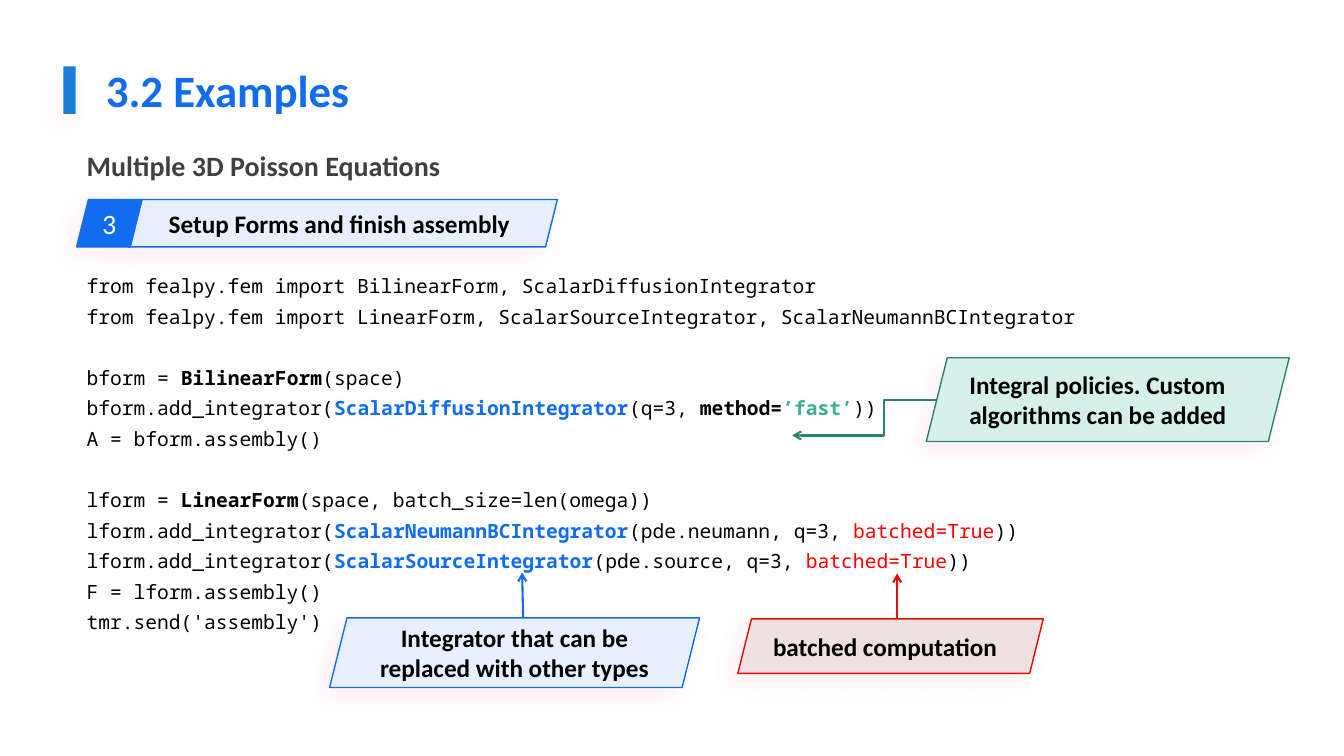
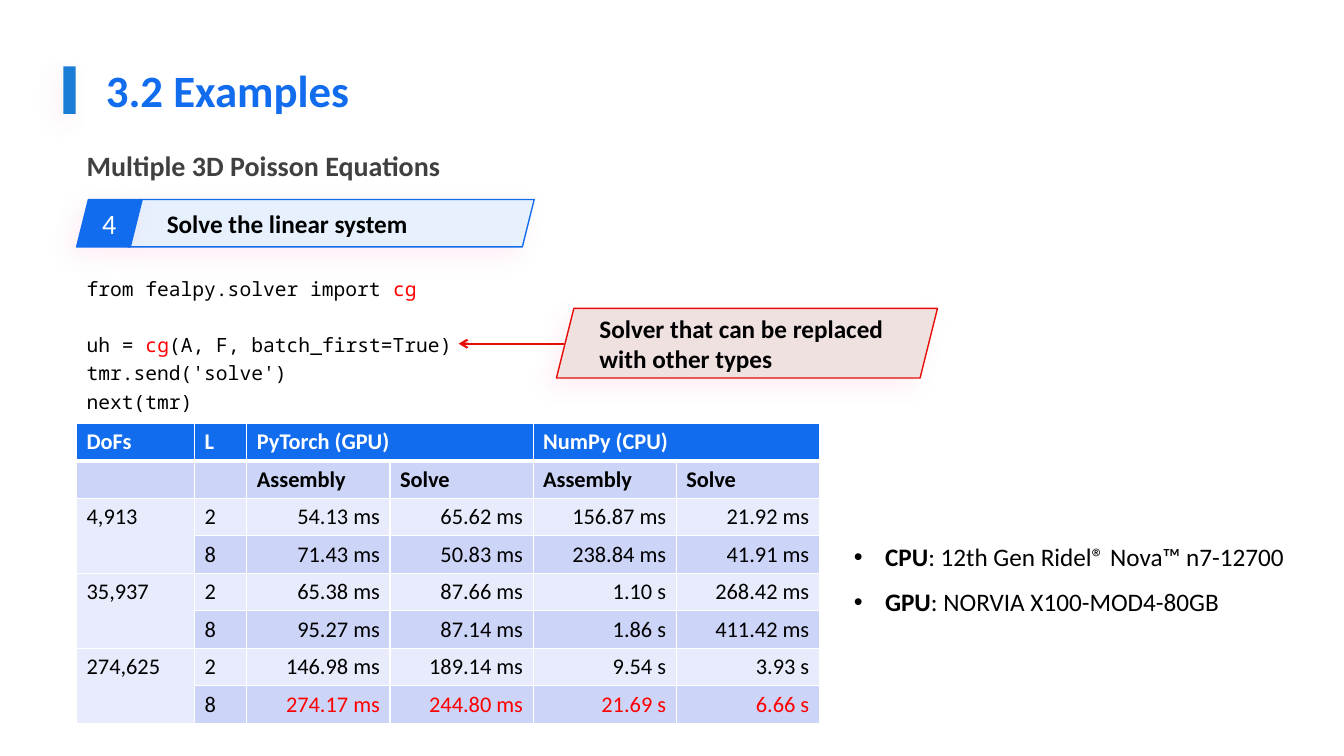
"""Build two example slides on assembling and solving batched Poisson equations."""
from dataclasses import dataclass
from typing import NamedTuple

from lxml import etree
from pptx import Presentation
from pptx.dml.color import RGBColor
from pptx.enum.shapes import MSO_CONNECTOR, MSO_SHAPE
from pptx.enum.text import MSO_ANCHOR, MSO_AUTO_SIZE, PP_ALIGN
from pptx.oxml.ns import qn
from pptx.util import Inches, Pt

RECT, SLANT = MSO_SHAPE.RECTANGLE, MSO_SHAPE.PARALLELOGRAM
STRAIGHT, ELBOW = MSO_CONNECTOR.STRAIGHT, MSO_CONNECTOR.ELBOW
LEFT, CENTER, RIGHT = PP_ALIGN.LEFT, PP_ALIGN.CENTER, PP_ALIGN.RIGHT
TOP, MIDDLE = MSO_ANCHOR.TOP, MSO_ANCHOR.MIDDLE
NO_FIT = MSO_AUTO_SIZE.NONE

COLORS = {
    "blue": "116CEE", "bar": "1B7ED6", "pale_blue": "E7F0FD",
    "green": "2C856A", "pale_green": "D6F1E9", "mint": "3BB28E",
    "crimson": "E40D08", "pale_red": "F0E1E1", "red": "FF0000",
    "black": "000000", "gray": "404040", "white": "FFFFFF", "shadow": "FF5DA9",
    "band_dark": "CCD4F8", "band_light": "E7EBFC",
}
BODY_FONT, CODE_FONT = "Calibri", "Noto Sans Mono"
GRID = 10
MARGIN = 7.6


class Box(NamedTuple):
    """Left, top, width and height in grid columns and rows."""
    left: float
    top: float
    width: float
    height: float


class Run(NamedTuple):
    """A stretch of text with its colour and weight."""
    text: str
    color: str = "black"
    bold: bool = False


class Code(NamedTuple):
    """A block of code; an empty line stands for a gap above the next one."""
    box: Box
    spacing: float
    gap: float
    lines: list


@dataclass
class Callout:
    """A slanted note with an arrow leaving it."""
    box: Box
    text: str
    fill: str
    line: str
    start: tuple
    end: tuple
    align: int = LEFT
    bend: float = 0


def cell(n: float) -> int:
    """Turn a number of grid cells into a length."""
    return Inches(n / GRID)


def area(box: Box) -> list:
    """Give a box as slide lengths."""
    return [cell(n) for n in box]


def rgb(name: str) -> RGBColor:
    """Look up a colour."""
    return RGBColor.from_string(COLORS[name])


def add_node(parent, tag: str, **attrs):
    """Append an XML child in the drawing namespace."""
    return etree.SubElement(parent, qn(f"a:{tag}"), {k: str(v) for k, v in attrs.items()})


def add_color(parent, name: str):
    """Append an XML colour."""
    return add_node(parent, "srgbClr", val=COLORS[name])


def write(p, runs: list, size: float, font: str = BODY_FONT, align=LEFT) -> None:
    """Add formatted runs to a paragraph."""
    p.alignment = align
    for text, color, bold in runs:
        r = p.add_run()
        r.text = text
        r.font.name, r.font.size, r.font.bold = font, Pt(size), bold
        r.font.color.rgb = rgb(color)


def set_frame(tf, inset: tuple, anchor=TOP) -> None:
    """Set wrapping, insets and anchoring of a text frame."""
    tf.word_wrap, tf.auto_size, tf.vertical_anchor = True, NO_FIT, anchor
    tf.margin_left = tf.margin_right = cell(inset[0])
    tf.margin_top = tf.margin_bottom = cell(inset[1])


def add_panel(shapes, kind, box: Box, fill: str, line: str = ""):
    """Draw a filled shape with a soft shadow."""
    sp = shapes.add_shape(kind, *area(box))
    sp.fill.solid()
    sp.fill.fore_color.rgb = rgb(fill)
    if line:
        sp.line.color.rgb = rgb(line)
        sp.line.width = Pt(1)
    else:
        sp.line.fill.background()
    sp.shadow.inherit = False
    effects = sp._element.spPr.find(qn("a:effectLst"))
    shadow = add_node(effects, "outerShdw", blurRad=Pt(16), dist=Pt(8),
                      dir=135 * 60000, algn="tr", rotWithShape=0)
    add_node(add_color(shadow, "shadow"), "alpha", val=10000)
    return sp


def add_arrow(s, note: Callout) -> None:
    """Draw the arrow of a callout, bent where asked."""
    ends = [cell(n) for n in (*note.start, *note.end)]
    line = s.shapes.add_connector(ELBOW if note.bend else STRAIGHT, *ends)
    line.line.color.rgb = rgb(note.line)
    line.line.width = Pt(1.5)
    props = line._element.spPr
    add_node(props.find(qn("a:ln")), "tailEnd", type="arrow")
    add_node(props, "effectLst")
    if note.bend:
        guides = props.find(qn("a:prstGeom")).get_or_add_avLst()
        add_node(guides, "gd", name="adj1", fmla=f"val {round(note.bend * 100000)}")


def add_callout(s, note: Callout) -> None:
    """Draw a callout and its arrow."""
    sp = add_panel(s.shapes, SLANT, note.box, note.fill, note.line)
    set_frame(sp.text_frame, (0.4, 0.5), MIDDLE)
    write(sp.text_frame.paragraphs[0], [Run(note.text, bold=True)], 18, align=note.align)
    add_arrow(s, note)


def add_step(s, number: str, text: str, width: float) -> None:
    """Draw the numbered step band."""
    group = s.shapes.add_group_shape().shapes
    band = add_panel(group, SLANT, Box(12.7, 19.8, width, 4.7), "pale_blue", "blue")
    tag = add_panel(group, SLANT, Box(MARGIN, 19.8, 6.5, 4.7), "blue", "blue")
    for sp in (band, tag):
        set_frame(sp.text_frame, (0, 0.5), MIDDLE)
    write(band.text_frame.paragraphs[0], [Run(text, bold=True)], 18)
    write(tag.text_frame.paragraphs[0], [Run(number, "white")], 20, align=CENTER)


def add_code(s, code: Code) -> None:
    """Write a block of code."""
    tf = s.shapes.add_textbox(*area(code.box)).text_frame
    set_frame(tf, (1, 0.5))
    p, gap = tf.paragraphs[0], 0
    for i, line in enumerate(code.lines):
        if not line:
            gap = code.gap
            continue
        p = tf.add_paragraph() if i else p
        p.line_spacing, p.space_before = code.spacing, Pt(gap)
        write(p, line, 14, CODE_FONT)
        gap = 0


def place(sp, box: Box) -> None:
    """Move a placeholder."""
    sp.left, sp.top, sp.width, sp.height = area(box)


def add_slide(prs, layout: int, number: str, step: str, width: float):
    """Start a slide with its bar, title, subtitle and step band."""
    s = prs.slides.add_slide(prs.slide_layouts[layout])
    add_panel(s.shapes, RECT, Box(6.3, 6.6, 1.2, 4.7), "bar")
    title, body = s.shapes.title, s.placeholders[1]
    place(title, Box(9.5, 5.7, 116.2, 6.4))
    set_frame(title.text_frame, (1, 0), MIDDLE)
    write(title.text_frame.paragraphs[0], [Run("3.2 Examples", "blue", True)], 32)
    place(body, Box(MARGIN, 14.2, 118.1, 4.4))
    set_frame(body.text_frame, (1, 0.5))
    p = body.text_frame.paragraphs[0]
    props = p._p.get_or_add_pPr()
    props.set("marL", "0")
    props.set("indent", "0")
    add_node(props, "buNone")
    p.space_before = Pt(0)
    write(p, [Run("Multiple 3D Poisson Equations", "gray", True)], 20)
    add_step(s, number, step, width)
    return s


def add_list(sp, box: Box, items: list) -> None:
    """Fill a placeholder with a bulleted list."""
    place(sp, box)
    tf = sp.text_frame
    set_frame(tf, (1, 0.5))
    for i, runs in enumerate(items):
        p = tf.add_paragraph() if i else tf.paragraphs[0]
        props = p._p.get_or_add_pPr()
        props.set("marL", str(cell(3.1)))
        props.set("indent", str(-cell(3.1)))
        add_node(props, "buFont", typeface="Arial")
        add_node(props, "buChar", char="•")
        p.line_spacing, p.space_before = 1.5, Pt(0)
        write(p, runs, 18)


def style_cell(c, fill: str, top: float, bottom: float) -> None:
    """Set the borders, fill and empty-text size of a table cell."""
    props = c._tc.get_or_add_tcPr()
    for side, width in (("L", 1), ("R", 1), ("T", top), ("B", bottom)):
        line = add_node(props, f"ln{side}", w=Pt(width))
        add_color(add_node(line, "solidFill"), "white")
    c.fill.solid()
    c.fill.fore_color.rgb = rgb(fill)
    add_node(c.text_frame.paragraphs[0]._p, "endParaRPr", sz=1600)


def add_timings(s, rows: list) -> None:
    """Draw the table of run times."""
    widths = [11.7, 5.2] + [14.2] * 4
    box = Box(MARGIN, 42, sum(widths), 29.3)
    table = s.shapes.add_table(len(rows), len(widths), *area(box)).table
    table.first_row = table.horz_banding = False
    for col, width in zip(table.columns, widths):
        col.width = cell(width)
    last = len(rows) - 1
    for i, row in enumerate(rows):
        table.rows[i].height = cell(box.height / len(rows))
        for j, text in enumerate(row):
            c = table.cell(i, j)
            dark = i % 2 and (j or i == 1)
            fill = "blue" if i == 0 else "band_dark" if dark else "band_light"
            number = i > 1 and j > 1
            color = "white" if i == 0 else "red" if number and i == last else "black"
            if text:
                write(c.text_frame.paragraphs[0], [Run(text, color, i < 2)], 16,
                      align=RIGHT if number else LEFT)
            style_cell(c, fill, 3 if i == 1 else 1, 3 if i == 0 else 1)
    for j in (2, 4):
        table.cell(0, j).merge(table.cell(0, j + 1))
    for i in range(2, len(rows), 2):
        table.cell(i, 0).merge(table.cell(i + 1, 0))


def integrator(form: str, name: str, *rest: Run) -> list:
    """Compose a line of code that adds an integrator."""
    return [Run(f"{form}.add_integrator("), Run(name, "blue", True), *rest, Run("))")]


BATCHED = Run("batched=True", "red")
FORMS = Code(Box(MARGIN, 26, 118.1, 37.7), 1.3, 21.8, [
    [Run("from fealpy.fem import BilinearForm, ScalarDiffusionIntegrator")],
    [Run("from fealpy.fem import LinearForm, ScalarSourceIntegrator, ScalarNeumannBCIntegrator")],
    [],
    [Run("bform = "), Run("BilinearForm", bold=True), Run("(space)")],
    integrator("bform", "ScalarDiffusionIntegrator", Run("(q=3, "),
               Run("method=", bold=True), Run("’fast’", "mint", True)),
    [Run("A = bform.assembly()")],
    [],
    [Run("lform = "), Run("LinearForm", bold=True), Run("(space, batch_size=len(omega))")],
    integrator("lform", "ScalarNeumannBCIntegrator", Run("(pde.neumann, q=3, "), BATCHED),
    integrator("lform", "ScalarSourceIntegrator", Run("(pde.source, q=3, "), BATCHED),
    [Run("F = lform.assembly()")],
    [Run("tmr.send('assembly')")],
])
FORM_NOTES = [
    Callout(Box(32.7, 61.3, 36.7, 6.9), "Integrator that can be replaced with other types",
            "pale_blue", "blue", (51.9, 61.3), (51.8, 56.8), CENTER),
    Callout(Box(91.9, 35.5, 36, 8.3), "Integral policies. Custom algorithms can be added",
            "pale_green", "green", (93, 39.7), (78.6, 43.2), bend=0.37),
    Callout(Box(73.2, 61.4, 30.3, 5.4), "batched computation",
            "pale_red", "crimson", (89, 61.4), (89, 56.9)),
]
SOLVER = Code(Box(MARGIN, 26.5, 59.1, 15.1), 1.2, 20, [
    [Run("from fealpy.solver import "), Run("cg", "red")],
    [],
    [Run("uh = "), Run("cg", "red"), Run("(A, F, batch_first=True)")],
    [Run("tmr.send('solve')")],
    [Run("next(tmr)")],
])
SOLVER_NOTE = Callout(Box(55.2, 30.6, 37.8, 6.9), "Solver that can be replaced with other types",
                      "pale_red", "crimson", (56, 34.1), (45.5, 34.1))
TIMINGS = [
    ["DoFs", "L", "PyTorch (GPU)", "", "NumPy (CPU)", ""],
    ["", "", "Assembly", "Solve", "Assembly", "Solve"],
    ["4,913", "2", "54.13 ms", "65.62 ms", "156.87 ms", "21.92 ms"],
    ["", "8", "71.43 ms", "50.83 ms", "238.84 ms", "41.91 ms"],
    ["35,937", "2", "65.38 ms", "87.66 ms", "1.10 s", "268.42 ms"],
    ["", "8", "95.27 ms", "87.14 ms", "1.86 s", "411.42 ms"],
    ["274,625", "2", "146.98 ms", "189.14 ms", "9.54 s", "3.93 s"],
    ["", "8", "274.17 ms", "244.80 ms", "21.69 s", "6.66 s"],
]
HARDWARE = [[Run("CPU", bold=True), Run(": 12th Gen Ridel® Nova™ n7-12700")],
            [Run("GPU", bold=True), Run(": NORVIA X100-MOD4-80GB")]]


def main() -> None:
    """Build and save the slides."""
    prs = Presentation()
    prs.slide_width, prs.slide_height = cell(133.33), cell(75)
    s = add_slide(prs, 1, "3", "Setup Forms and finish assembly", 42.6)
    add_code(s, FORMS)
    for note in FORM_NOTES:
        add_callout(s, note)
    s = add_slide(prs, 3, "4", "Solve the linear system", 40.3)
    add_code(s, SOLVER)
    add_timings(s, TIMINGS)
    add_list(s.placeholders[2], Box(83.7, 51.7, 48.5, 10.1), HARDWARE)
    add_callout(s, SOLVER_NOTE)
    prs.save("out.pptx")


if __name__ == "__main__":
    main()
